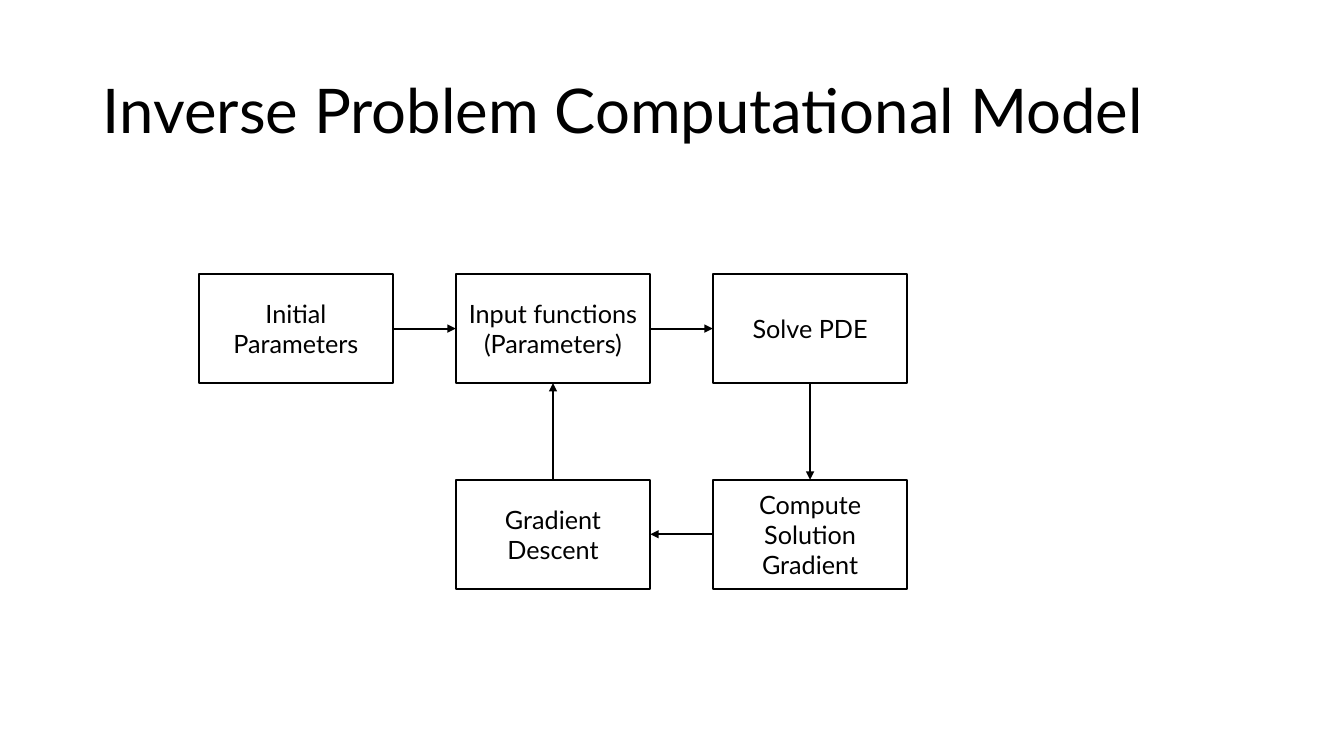
from lxml.etree import SubElement
from pptx import Presentation
from pptx.dml.color import RGBColor
from pptx.enum.shapes import MSO_CONNECTOR, MSO_SHAPE
from pptx.enum.text import MSO_ANCHOR, PP_ALIGN
from pptx.oxml.ns import qn
from pptx.util import Inches, Pt

COLORS = {"ink": "000000", "paper": "FFFFFF"}
FONT = "Lato"
LINE_WIDTH = Pt(1.5)

BOX_W, BOX_H = 1.93, 1.08
LEFT, TOP = 1.97, 2.72
COL_STEP, ROW_STEP = 2.55, 2.04

SIDE_TOP, SIDE_LEFT, SIDE_BOTTOM, SIDE_RIGHT = range(4)

# name: (text, column, row)
STEPS = {
    "initial": ("Initial Parameters", 0, 0),
    "input": ("Input functions (Parameters)", 1, 0),
    "solve": ("Solve PDE", 2, 0),
    "gradient": ("Compute Solution Gradient", 2, 1),
    "descent": ("Gradient Descent", 1, 1),
}
FLOWS = [
    ("initial", SIDE_RIGHT, "input", SIDE_LEFT),
    ("input", SIDE_RIGHT, "solve", SIDE_LEFT),
    ("solve", SIDE_BOTTOM, "gradient", SIDE_TOP),
    ("gradient", SIDE_LEFT, "descent", SIDE_RIGHT),
    ("descent", SIDE_TOP, "input", SIDE_BOTTOM),
]


def rgb(name):
    return RGBColor.from_string(COLORS[name])


def set_text(sp, text, size=18, align=PP_ALIGN.CENTER, spacing=1.0):
    tf = sp.text_frame
    tf.word_wrap = True
    tf.vertical_anchor = MSO_ANCHOR.MIDDLE
    p = tf.paragraphs[0]
    p.alignment = align
    p.line_spacing = spacing
    r = p.add_run()
    r.text = text
    r.font.name = FONT
    r.font.size = Pt(size)
    r.font.color.rgb = rgb("ink")


def set_line(line):
    line.color.rgb = rgb("ink")
    line.width = LINE_WIDTH


def add_title(s, text):
    title = s.shapes.title
    title.left, title.top = Inches(0.92), Inches(0.4)
    title.width, title.height = Inches(11.5), Inches(1.45)
    set_text(title, text, size=44, align=PP_ALIGN.LEFT, spacing=0.9)


def add_step(s, text, col, row):
    sp = s.shapes.add_shape(
        MSO_SHAPE.RECTANGLE,
        Inches(LEFT + col * COL_STEP), Inches(TOP + row * ROW_STEP),
        Inches(BOX_W), Inches(BOX_H))
    sp.shadow.inherit = False
    sp.fill.solid()
    sp.fill.fore_color.rgb = rgb("paper")
    set_line(sp.line)
    set_text(sp, text)
    return sp


def add_arrow(s, start, start_side, end, end_side):
    arrow = s.shapes.add_connector(MSO_CONNECTOR.STRAIGHT, 0, 0, 0, 0)
    arrow.begin_connect(start, start_side)
    arrow.end_connect(end, end_side)
    set_line(arrow.line)
    SubElement(arrow.line._get_or_add_ln(), qn("a:tailEnd"), type="triangle")
    SubElement(arrow._element.spPr, qn("a:effectLst"))


def main():
    prs = Presentation()
    prs.slide_width, prs.slide_height = Inches(13.33), Inches(7.5)
    s = prs.slides.add_slide(prs.slide_layouts[5])
    add_title(s, "Inverse Problem Computational Model")
    boxes = {name: add_step(s, *step) for name, step in STEPS.items()}
    for start, start_side, end, end_side in FLOWS:
        add_arrow(s, boxes[start], start_side, boxes[end], end_side)
    prs.save("out.pptx")


if __name__ == "__main__":
    main()
